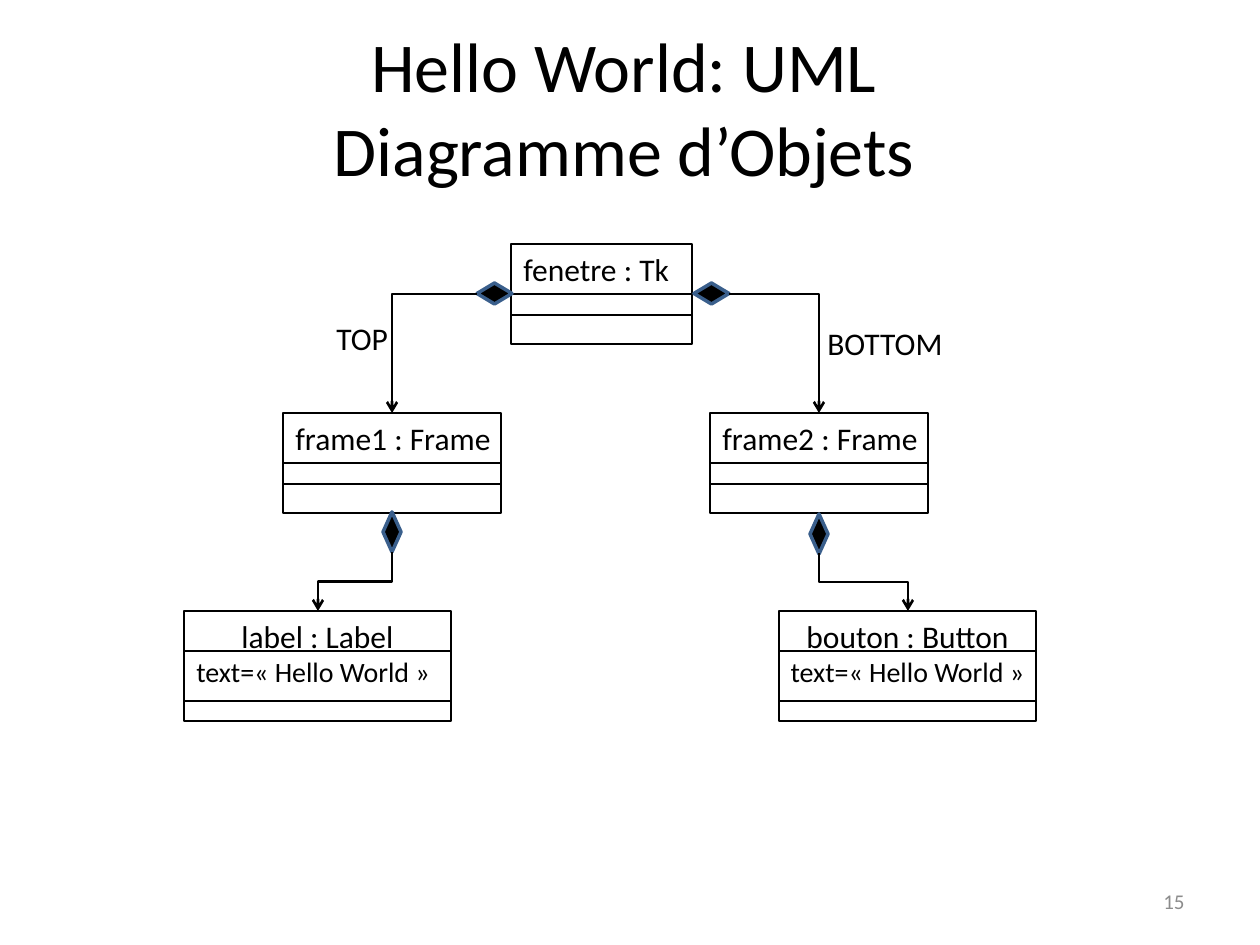
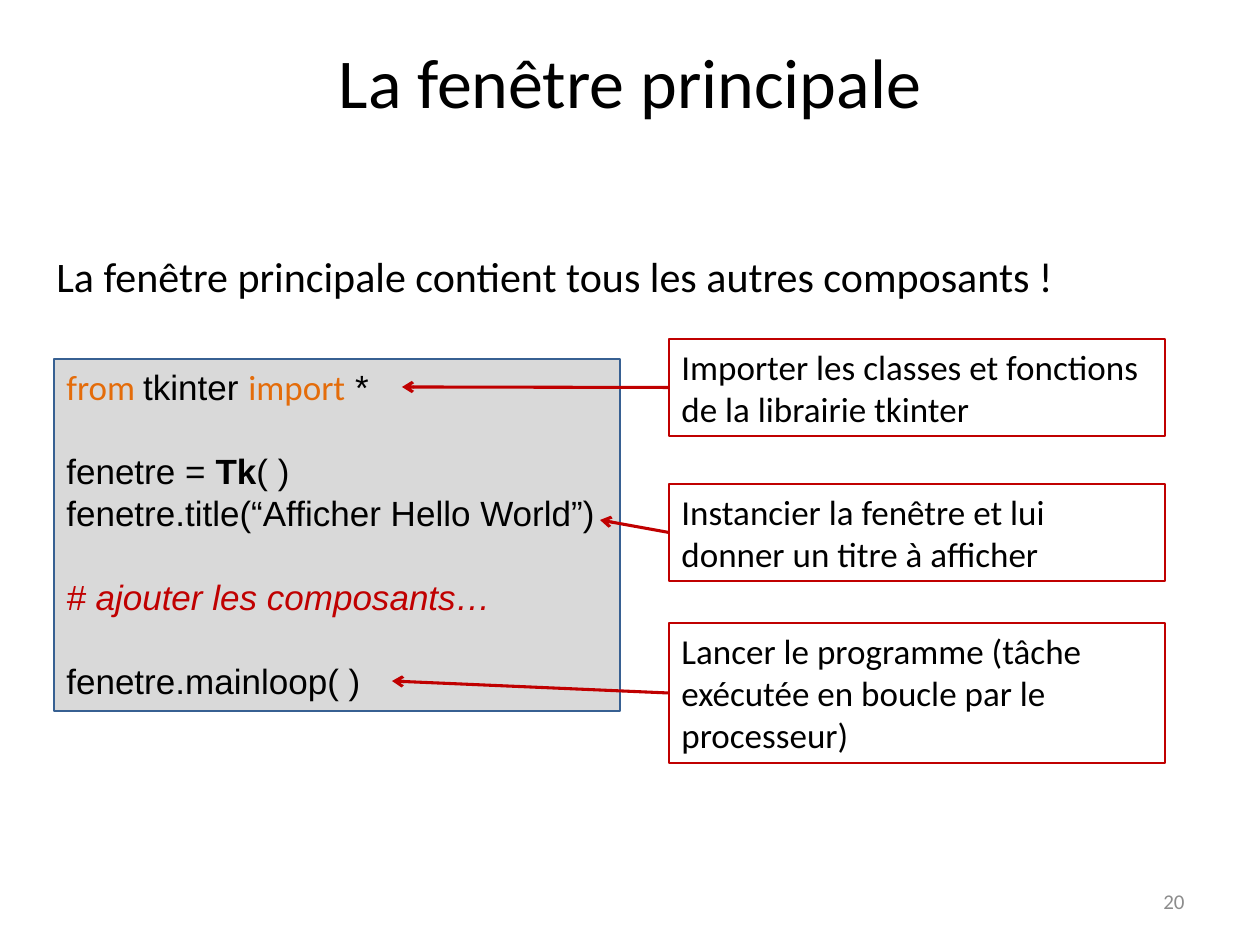
from lxml import etree
from pptx import Presentation
from pptx import util as u
from pptx.dml.color import RGBColor
from pptx.enum import shapes, text
from pptx.oxml.ns import qn

PX = u.Inches(1) / 126
COLORS = {"ink": "000000", "page": "8C8C8C", "code": "D9D9D9", "edge": "376092",
          "diamond": "3A5F8C", "red": "C00000", "keyword": "E46C0A"}
LEFT, CENTER, RIGHT = text.PP_ALIGN.LEFT, text.PP_ALIGN.CENTER, text.PP_ALIGN.RIGHT
SIDE_LEFT, SIDE_RIGHT = 1, 3


def emu(*px):
    return [u.Emu(round(v * PX)) for v in px]


def rgb(name):
    return RGBColor.from_string(COLORS[name])


class Deck:
    """Holds the shared style and the slide being drawn."""
    font = "Calibri"

    def __init__(self):
        self.prs = Presentation()
        self.prs.slide_width, self.prs.slide_height = emu(1260, 945)
        self.s = None

    def slide(self, title, number, box):
        self.s = self.prs.slides.add_slide(self.prs.slide_layouts[6])
        self.label(box, title, 40, CENTER, wrap=True)
        tf = self.label((903, 876, 294, 50), number, 12, RIGHT, "page", wrap=True)
        tf.vertical_anchor = text.MSO_ANCHOR.MIDDLE

    def style(self, p, size, align=LEFT, color="ink", font=None):
        p.alignment = align
        p.font.size, p.font.name = u.Pt(size), font or self.font
        p.font.color.rgb = rgb(color)

    def label(self, box, words, size, align=LEFT, color="ink", wrap=False):
        tf = self.s.shapes.add_textbox(*emu(*box)).text_frame
        tf.word_wrap = wrap
        tf.paragraphs[0].text = words
        self.style(tf.paragraphs[0], size, align, color)
        return tf

    def shape(self, kind, box, line, width, fill=None):
        sp = self.s.shapes.add_shape(kind, *emu(*box))
        sp.shadow.inherit = False
        if fill:
            sp.fill.solid()
            sp.fill.fore_color.rgb = rgb(fill)
        else:
            sp.fill.background()
        sp.line.color.rgb, sp.line.width = rgb(line), u.Pt(width)
        return sp

    def box(self, box, lines, line="ink", width=1.5, fill=None, wrap=False):
        """Rectangle with top-anchored lines of (words, size, alignment)."""
        sp = self.shape(shapes.MSO_SHAPE.RECTANGLE, box, line, width, fill)
        tf = sp.text_frame
        tf.word_wrap, tf.vertical_anchor = wrap, text.MSO_ANCHOR.TOP
        for i, (words, size, align) in enumerate(lines):
            p = tf.add_paragraph() if i else tf.paragraphs[0]
            p.text = words
            self.style(p, size, align)
        return sp

    def diamond(self, box):
        self.shape(shapes.MSO_SHAPE.DIAMOND, box, "diamond", 2, "ink")

    def line(self, ends, width=1, color="ink", arrow=False, kind=shapes.MSO_CONNECTOR.STRAIGHT):
        c = self.s.shapes.add_connector(kind, *emu(*ends))
        c.line.color.rgb, c.line.width = rgb(color), u.Pt(width)
        if arrow:
            etree.SubElement(c.line._get_or_add_ln(), qn("a:tailEnd"), type="arrow")
        etree.SubElement(c._element.spPr, qn("a:effectLst"))
        return c

    def elbow(self, x1, y1, x2, y2, sideways):
        """Arrow going down; it leaves sideways (one bend) or downwards (two)."""
        dx, dy = abs(x2 - x1), y2 - y1
        w, h = (dx, dy) if sideways else (dy, dx)
        left, top = (x1 + x2 - w) / 2, (y1 + y2 - h) / 2
        c = self.line((left, top, left + w, top + h), 1.5, arrow=True,
                      kind=shapes.MSO_CONNECTOR.ELBOW)
        turn, flip = {(True, True): (0, None), (True, False): (180, "flipV"),
                      (False, True): (270, "flipH"), (False, False): (90, None)}[sideways, x2 > x1]
        xfrm = c._element.spPr.find(qn("a:xfrm"))
        if turn:
            xfrm.set("rot", str(turn * 60000))
        if flip:
            xfrm.set(flip, "1")
        if sideways:
            c._element.spPr.find(qn("a:prstGeom")).set("prst", "bentConnector2")

    def uml_object(self, box, name, attribute=None):
        """Object box cut into name, attributes and methods."""
        x, y, w, h = box
        lines = [(name, 18, CENTER if attribute else LEFT)]
        if attribute:
            lines.append((attribute, 16, LEFT))
        sp = self.box(box, lines)
        for cut in (40, 90) if attribute else (h // 2, 71):
            c = self.line((x, y + cut, x + w, y + cut))
            if cut * 2 == h:
                c.begin_connect(sp, SIDE_LEFT)
                c.end_connect(sp, SIDE_RIGHT)

    def code(self, box, lines):
        """Lines of (gap before, runs); a run is (words, style)."""
        tf = self.box(box, [], "edge", 0.75, "code", wrap=True).text_frame
        for i, (gap, runs) in enumerate(lines):
            p = tf.add_paragraph() if i else tf.paragraphs[0]
            self.style(p, 20, font="Arial")
            p.line_spacing, p.space_before = u.Pt(24), u.Pt(24 * gap)
            for words, look in runs:
                r = p.add_run()
                r.text = words
                if look == "keyword":
                    r.font.name, r.font.color.rgb = self.font, rgb("keyword")
                elif look == "comment":
                    r.font.italic, r.font.color.rgb = True, rgb("red")
                elif look == "bold":
                    r.font.bold = True

    def callout(self, top, height, words, tip):
        sp = self.box((669, top, 496, height), [(words, 20, LEFT)], "red", 0.75, wrap=True)
        c = self.line((669, top + height // 2, *tip), 1.75, "red", arrow=True)
        c.begin_connect(sp, SIDE_LEFT)


def object_diagram(d):
    d.slide("Hello World: UML\nDiagramme d’Objets", "15", (57, 16, 1134, 118))

    # Objects
    hello = "text=« Hello World »"
    d.uml_object((511, 244, 181, 100), "fenetre : Tk")
    d.uml_object((283, 413, 218, 100), "frame1 : Frame")
    d.uml_object((710, 413, 218, 100), "frame2 : Frame")
    d.uml_object((184, 611, 267, 110), "label : Label", hello)
    d.uml_object((779, 611, 257, 110), "bouton : Button", hello)

    # Compositions
    for box in ((694, 283, 35, 21), (477, 283, 35, 21), (383, 512, 18, 40), (810, 514, 18, 40)):
        d.diamond(box)
    d.elbow(729, 294, 819, 413, sideways=True)
    d.elbow(477, 294, 392, 413, sideways=True)
    d.elbow(392, 552, 318, 611, sideways=False)
    d.elbow(819, 553, 908, 611, sideways=False)

    # Packing sides
    d.label((324, 313, 77, 50), "TOP", 18)
    d.label((815, 318, 141, 50), "BOTTOM", 18)


def main_window(d):
    d.slide("La fenêtre principale", "20", (63, 32, 1134, 157))

    # Program
    d.code((54, 359, 566, 352), [
        (0, [("from ", "keyword"), ("tkinter ", ""), ("import", "keyword"), (" *", "")]),
        (1, [("fenetre = ", ""), ("Tk", "bold"), ("( )", "")]),
        (0, [("fenetre.title(“Afficher Hello World”)", "")]),
        (1, [("# ajouter les composants…", "comment")]),
        (1, [("fenetre.mainloop( )", "")]),
    ])
    d.label((44, 244, 1032, 63), "La fenêtre principale contient tous les autres composants !", 24)

    # Explanations
    d.callout(339, 97, "Importer les classes et fonctions de la librairie tkinter", (402, 387))
    d.callout(484, 97, "Instancier la fenêtre et lui donner un titre à afficher", (600, 520))
    d.callout(623, 140, "Lancer le programme (tâche exécutée en boucle par le processeur)",
              (392, 681))


def main():
    d = Deck()
    object_diagram(d)
    main_window(d)
    d.prs.save("out.pptx")


if __name__ == "__main__":
    main()
